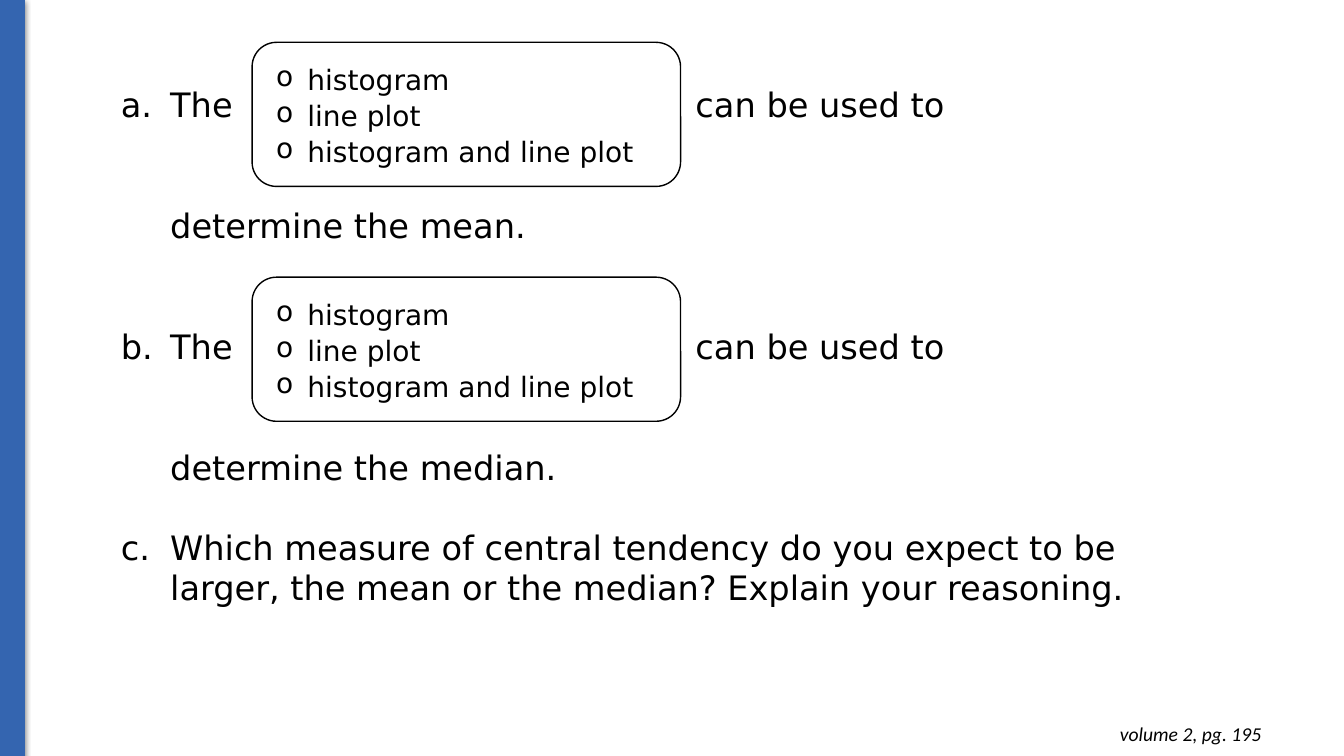
from dataclasses import dataclass
from typing import Optional

from lxml.etree import SubElement
from pptx import Presentation
from pptx.dml.color import RGBColor
from pptx.enum.shapes import MSO_SHAPE
from pptx.enum.text import MSO_ANCHOR, PP_ALIGN
from pptx.oxml import parse_xml
from pptx.oxml.ns import qn
from pptx.util import Emu, Pt

BLUE = RGBColor(0x34, 0x65, 0xB0)
BLACK = RGBColor(0, 0, 0)
BODY_FONT = "DejaVu Sans"
NOTE_FONT = "Calibri"
LINE_PITCH = 28.8  # points from one body line to the next
DRAWING_NS = "http://schemas.openxmlformats.org/drawingml/2006/main"


def px(length: int) -> Emu:
    """Convert px, at 100 to the inch, into EMU."""
    return Emu(length * 9144)


@dataclass
class Line:
    text: str
    number: Optional[int] = None
    lines_before: int = 0


@dataclass
class Choice:
    top: int
    phrase_top: int


LINES = [
    Line("The", number=1),
    Line("determine the mean.", lines_before=2),
    Line("The", number=2, lines_before=2),
    Line("determine the median.", lines_before=2),
    Line("Which measure of central tendency do you expect to be larger, "
         "the mean or the median? Explain your reasoning.",
         number=3, lines_before=1),
]
CHOICES = [Choice(top=42, phrase_top=78), Choice(top=275, phrase_top=318)]
OPTIONS = ["histogram", "line plot", "histogram and line plot"]


def set_font(para, name: str, size: int, italic: bool = False) -> None:
    para.font.name = name
    para.font.size = Pt(size)
    para.font.italic = italic
    para.font.color.rgb = BLACK


def set_bullet(para, margin: int, indent: int, tag: str = "", **attributes: str) -> None:
    """Set the hanging indent in px and add a bullet element if one is named."""
    properties = para._p.get_or_add_pPr()
    properties.set("marL", str(px(margin)))
    properties.set("indent", str(px(indent)))
    if tag:
        SubElement(properties, qn(tag), attributes)


def add_text_box(page, left: int, top: int, width: int, height: int):
    frame = page.shapes.add_textbox(px(left), px(top), px(width), px(height)).text_frame
    frame.word_wrap = True
    return frame


def add_side_bar(page) -> None:
    bar = page.shapes.add_shape(MSO_SHAPE.RECTANGLE, 0, 0, px(24), px(751))
    bar.fill.solid()
    bar.fill.fore_color.rgb = BLUE
    bar.line.color.rgb = BLUE
    bar.line.width = Pt(0.75)
    bar.shadow.inherit = False
    effects = bar._element.spPr.find(qn("a:effectLst"))
    effects.append(parse_xml(
        f'<a:outerShdw xmlns:a="{DRAWING_NS}" blurRad="{Pt(4.5)}" dist="{Pt(1.5)}" '
        'dir="5400000" rotWithShape="0"><a:srgbClr val="000000">'
        '<a:alpha val="50000"/></a:srgbClr></a:outerShdw>'))


def add_questions(page) -> None:
    frame = add_text_box(page, 59, 78, 1150, 616)
    for index, line in enumerate(LINES):
        para = frame.paragraphs[0] if index == 0 else frame.add_paragraph()
        para.text = line.text
        if line.number:
            set_bullet(para, 100, -49, "a:buAutoNum",
                       type="alphaLcPeriod", startAt=str(line.number))
        else:
            set_bullet(para, 100, 0)
        para.line_spacing = Pt(LINE_PITCH)
        para.space_before = Pt(LINE_PITCH * line.lines_before)
        set_font(para, BODY_FONT, 24)


def add_choice(page, choice: Choice) -> None:
    box = page.shapes.add_shape(MSO_SHAPE.ROUNDED_RECTANGLE,
                                px(250), px(choice.top), px(425), px(143))
    box.adjustments[0] = 0.17
    box.fill.background()
    box.line.color.rgb = BLACK
    box.line.width = Pt(1)
    box.shadow.inherit = False
    frame = box.text_frame
    frame.word_wrap = True
    frame.vertical_anchor = MSO_ANCHOR.MIDDLE
    for index, option in enumerate(OPTIONS):
        para = frame.paragraphs[0] if index == 0 else frame.add_paragraph()
        para.text = option
        set_bullet(para, 38, -31, "a:buChar", char="o")
        para.alignment = PP_ALIGN.LEFT
        para.line_spacing = 1.07
        set_font(para, BODY_FONT, 20)
    frame.paragraphs[-1].space_after = Pt(8)

    # Words that follow the box
    para = add_text_box(page, 680, choice.phrase_top, 320, 50).paragraphs[0]
    para.text = "can be used to"
    para.line_spacing = Pt(LINE_PITCH)
    set_font(para, BODY_FONT, 24)


def add_page_note(page) -> None:
    frame = add_text_box(page, 973, 706, 288, 44)
    frame.margin_top = frame.margin_bottom = px(10)
    para = frame.paragraphs[0]
    para.text = "volume 2, pg. 195"
    para.alignment = PP_ALIGN.RIGHT
    set_font(para, NOTE_FONT, 14, italic=True)


def main() -> None:
    deck = Presentation()
    deck.slide_width, deck.slide_height = px(1333), px(750)
    page = deck.slides.add_slide(deck.slide_layouts[6])
    add_side_bar(page)
    add_questions(page)
    for choice in CHOICES:
        add_choice(page, choice)
    add_page_note(page)
    deck.save("out.pptx")


if __name__ == "__main__":
    main()
